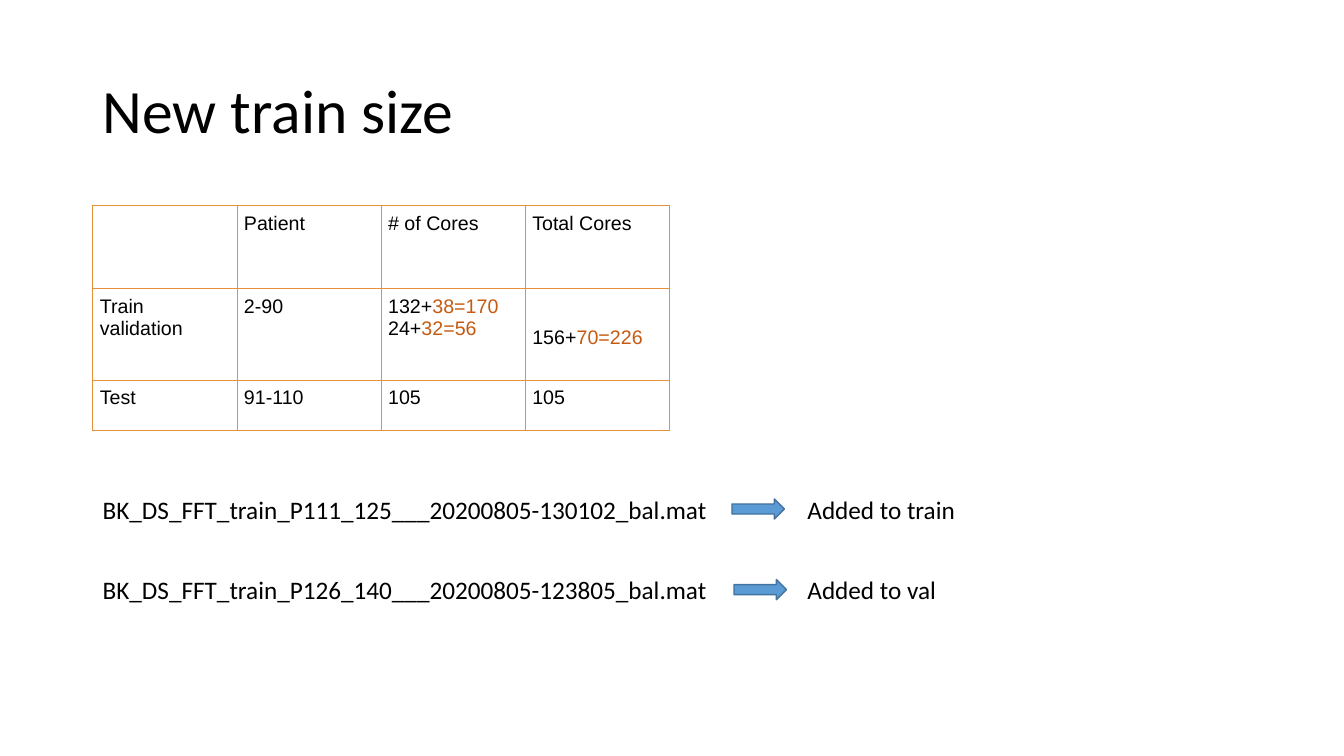
from lxml import etree
from pptx import Presentation
from pptx.dml.color import RGBColor
from pptx.enum.shapes import MSO_SHAPE
from pptx.enum.text import MSO_ANCHOR, MSO_AUTO_SIZE, PP_ALIGN
from pptx.oxml.ns import qn
from pptx.util import Inches, Pt

RIGHT_ARROW = MSO_SHAPE.RIGHT_ARROW
MIDDLE = MSO_ANCHOR.MIDDLE
LEFT = PP_ALIGN.LEFT
FIT_SHAPE = MSO_AUTO_SIZE.SHAPE_TO_FIT_TEXT
NO_FIT = MSO_AUTO_SIZE.NONE

COLORS = {
    "text": "000000",
    "added": "C55A11",
    "cell": "FFFFFF",
    "border": "E69138",
    "arrow": "5B9BD5",
    "arrow_line": "43739E",
}


def rgb(name):
    return RGBColor.from_string(COLORS[name])


def add_run(p, text, size=18, font="Calibri", color="text"):
    p.alignment = LEFT
    r = p.add_run()
    r.text = text
    r.font.size = Pt(size)
    r.font.name = font
    r.font.color.rgb = rgb(color)


prs = Presentation()
prs.slide_width, prs.slide_height = Inches(13.33), Inches(7.5)
s = prs.slides.add_slide(prs.slide_layouts[5])

# Title
title = s.shapes.title
title.left, title.top = Inches(0.92), Inches(0.4)
title.width, title.height = Inches(11.5), Inches(1.45)
tf = title.text_frame
tf.auto_size = NO_FIT
tf.vertical_anchor = MIDDLE
tf.paragraphs[0].line_spacing = 0.9
add_run(tf.paragraphs[0], "New train size", size=44)

# Table: each cell is a list of lines, each line a base text and an added part
rows = [
    [[], [("Patient", "")], [("# of Cores", "")], [("Total Cores", "")]],
    [[("Train", ""), ("validation", "")], [("2-90", "")],
     [("132+", "38=170"), ("24+", "32=56")], [("156+", "70=226")]],
    [[("Test", "")], [("91-110", "")], [("105", "")], [("105", "")]],
]
row_heights = [0.82, 0.91, 0.5]
table = s.shapes.add_table(3, 4, Inches(0.92), Inches(2.04),
                           Inches(5.71), Inches(2.23)).table
table.first_row = False
table.horz_banding = False
for col in table.columns:
    col.width = Inches(1.43)

for i, row in enumerate(rows):
    table.rows[i].height = Inches(row_heights[i])
    for j, lines in enumerate(row):
        cell = table.cell(i, j)
        cell.margin_left = cell.margin_right = Inches(0.07)
        cell.margin_top = cell.margin_bottom = Inches(0.07)
        tf = cell.text_frame
        for n, (base, added) in enumerate(lines):
            p = tf.add_paragraph() if n else tf.paragraphs[0]
            add_run(p, base, size=14, font="Arial")
            if added:
                add_run(p, added, size=14, font="Arial", color="added")
        # Borders come before the fill in the cell properties
        tcPr = cell._tc.get_or_add_tcPr()
        for side in ("a:lnL", "a:lnR", "a:lnT", "a:lnB"):
            ln = etree.SubElement(tcPr, qn(side), w=str(Pt(0.5)))
            fill = etree.SubElement(ln, qn("a:solidFill"))
            etree.SubElement(fill, qn("a:srgbClr"), val=COLORS["border"])
        cell.fill.solid()
        cell.fill.fore_color.rgb = rgb("cell")

# The combined total sits one line lower than its neighbours
table.cell(1, 3).margin_top = Inches(0.38)

# Files and where they were added
files = [
    ("BK_DS_FFT_train_P111_125___20200805-130102_bal.mat", "Added to train", 7.26),
    ("BK_DS_FFT_train_P126_140___20200805-123805_bal.mat", "Added to val", 7.28),
]
for i, (file_name, target, arrow_left) in enumerate(files):
    top = 4.85 + 0.8 * i
    for text, left, width, wrap in ((file_name, 0.92, 6.26, False),
                                    (target, 7.91, 1.78, True)):
        box = s.shapes.add_textbox(Inches(left), Inches(top), Inches(width), Inches(0.4))
        tf = box.text_frame
        tf.word_wrap = wrap
        tf.auto_size = FIT_SHAPE
        add_run(tf.paragraphs[0], text)
    arrow = s.shapes.add_shape(RIGHT_ARROW, Inches(arrow_left), Inches(top + 0.1),
                               Inches(0.52), Inches(0.2))
    arrow.shadow.inherit = False
    arrow.fill.solid()
    arrow.fill.fore_color.rgb = rgb("arrow")
    arrow.line.color.rgb = rgb("arrow_line")
    arrow.line.width = Pt(1)

prs.save("out.pptx")
